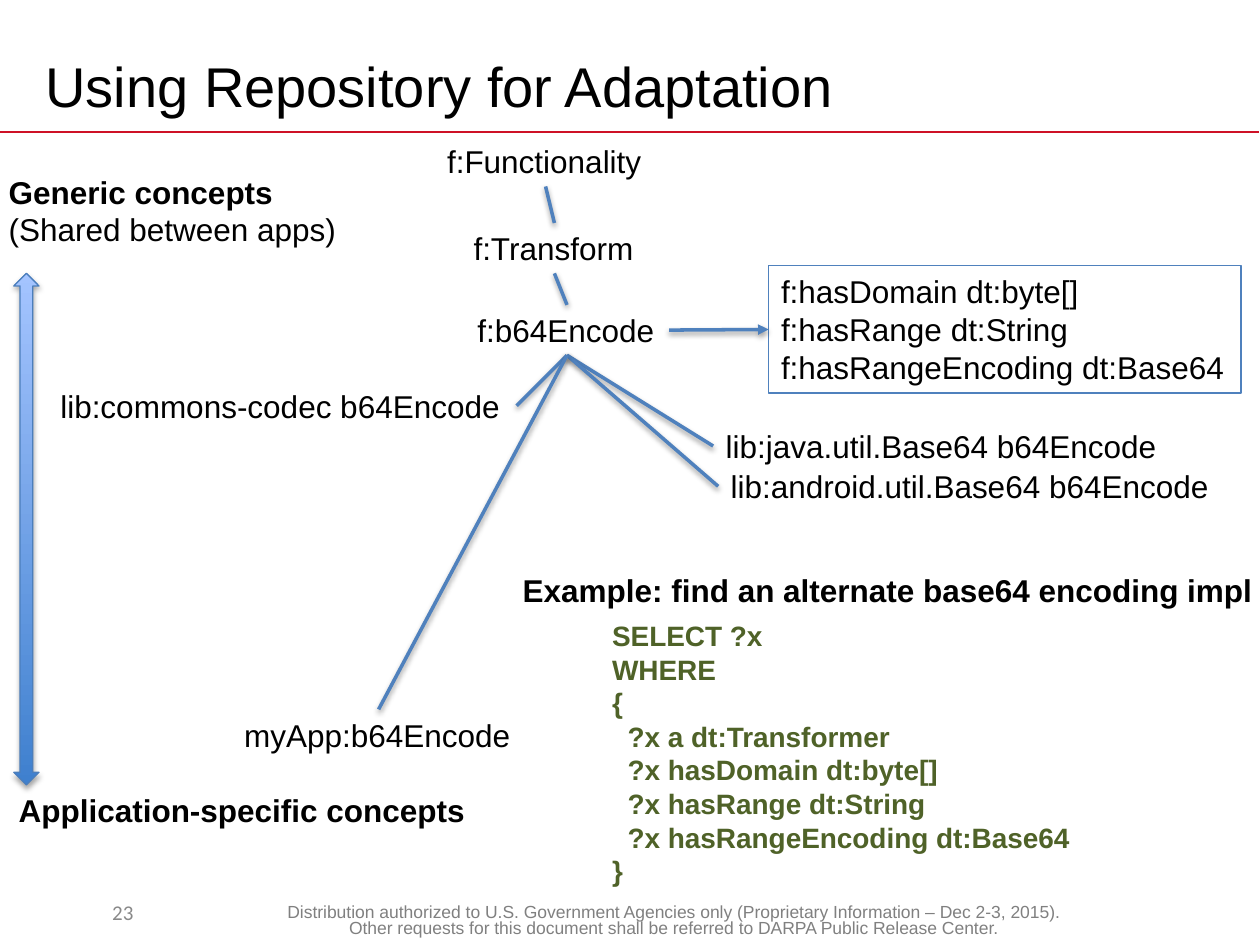
from lxml.etree import SubElement
from pptx import Presentation
from pptx.dml.color import RGBColor as RGB
from pptx.enum.shapes import MSO_CONNECTOR as Link, MSO_SHAPE as Form
from pptx.enum.text import MSO_ANCHOR as Anchor, MSO_AUTO_SIZE as Fit, PP_ALIGN as Align
from pptx.oxml.ns import qn
from pptx.util import Pt

SCALE = 9144  # EMU per px, 100 px to the inch
BLACK = RGB(0x00, 0x00, 0x00)
RED = RGB(0xCE, 0x11, 0x26)
BLUE = RGB(0x4F, 0x81, 0xBD)
EDGE = RGB(0x4B, 0x7E, 0xBC)
DEEP = RGB(0x3F, 0x80, 0xCE)
PALE = RGB(0xA4, 0xC4, 0xFF)
GREEN = RGB(0x4F, 0x62, 0x28)
GRAY = RGB(0x80, 0x80, 0x80)
SILVER = RGB(0x89, 0x89, 0x89)
TOP, LEFT, BOTTOM, RIGHT = range(4)


def px(*nums):
    return [n * SCALE for n in nums]


def adjust(target, vals):
    for key, val in vals.items():
        setattr(target, key, val)


class Board:
    """Style and current slide."""

    font = {"name": "Arial", "size": Pt(18), "bold": False}
    label = {"word_wrap": False, "auto_size": Fit.SHAPE_TO_FIT_TEXT}
    block = {"word_wrap": True, "auto_size": Fit.NONE}

    def __init__(self, deck):
        self.slide = deck.slides.add_slide(deck.slide_layouts[5])
        self.shapes = self.slide.shapes

    def letter(self, shape, text, frame, para, font, color):
        body = shape.text_frame
        body.text = text
        adjust(body, frame)
        for par in body.paragraphs:
            adjust(par, para)
            adjust(par.font, self.font | font)
            par.font.color.rgb = color
        return shape

    def title(self, text, *at):
        head = self.shapes.title
        adjust(head, dict(zip(("left", "top", "width", "height"), px(*at))))
        frame = {"vertical_anchor": Anchor.MIDDLE}
        self.letter(head, text, frame, {"alignment": Align.LEFT}, {"size": Pt(32)}, BLACK)

    def text(self, text, *at, frame=label, para={}, color=BLACK, **font):
        box = self.shapes.add_textbox(*px(*at))
        return self.letter(box, text, frame, para, font, color)

    def stroke(self, line, color, width):
        line.color.rgb = color
        line.width = Pt(width)

    def shade(self, shape, dist, alpha):
        effects = SubElement(shape._element.spPr, qn("a:effectLst"))
        if alpha:
            cast = SubElement(effects, qn("a:outerShdw"), blurRad="40000",
                              dist=str(dist), dir="5400000", rotWithShape="0")
            tone = SubElement(cast, qn("a:srgbClr"), val=str(BLACK))
            SubElement(tone, qn("a:alpha"), val=str(alpha))

    def rule(self, *ends):
        line = self.shapes.add_connector(Link.STRAIGHT, *px(*ends))
        self.stroke(line.line, RED, 1)
        self.shade(line, 0, 0)

    def join(self, start, side, end, port, arrow=False):
        line = self.shapes.add_connector(Link.STRAIGHT, 0, 0, 0, 0)
        line.begin_connect(start, side)
        line.end_connect(end, port)
        self.stroke(line.line, BLUE, 2)
        if arrow:
            edge = line._element.spPr.find(qn("a:ln"))
            SubElement(edge, qn("a:tailEnd"), type="triangle")
        self.shade(line, 20000, 38000)

    def scale(self, *at):
        bar = self.shapes.add_shape(Form.UP_DOWN_ARROW, *px(*at))
        bar.fill.gradient()
        bar.fill.gradient_angle = 90
        for stop, color in zip(bar.fill.gradient_stops, (DEEP, PALE)):
            stop.color.rgb = color
        self.stroke(bar.line, EDGE, 0.75)
        self.shade(bar, 23000, 35000)


def main():
    deck = Presentation()
    deck.slide_width, deck.slide_height = px(1000, 750)
    board = Board(deck)

    # Header and footer
    board.rule(0, 105, 999, 105)
    board.title("Using Repository for Adaptation", 26, 30, 900, 75)
    board.text("Distribution authorized to U.S. Government Agencies only "
               "(Proprietary Information – Dec 2-3, 2015). Other requests for this "
               "document shall be referred to DARPA Public Release Center.",
               211, 713, 647, 31, frame=Board.block, color=GRAY, size=Pt(10),
               para={"alignment": Align.CENTER, "line_spacing": 0.8})
    board.text("23", 28, 704, 139, 40, color=SILVER, name="Calibri", size=Pt(12),
               frame=Board.block | {"vertical_anchor": Anchor.MIDDLE},
               para={"alignment": Align.CENTER})

    # Scale from generic to specific
    generic = board.text("Generic concepts\n(Shared between apps)",
                         -3, 132, 282, 71, bold=True)
    generic.text_frame.paragraphs[1].font.bold = False
    board.scale(11, 217, 20, 406)
    board.text("Application-specific concepts", 5, 623, 378, 40, bold=True)

    # Concept tree
    root = board.text("f:Functionality", 345, 108, 176, 40)
    trans = board.text("f:Transform", 366, 177, 148, 40)
    encode = board.text("f:b64Encode", 369, 242, 162, 40)
    codec = board.text("lib:commons-codec b64Encode", 38, 302, 372, 40)
    java = board.text("lib:java.util.Base64 b64Encode", 566, 334, 365, 40)
    droid = board.text("lib:android.util.Base64 b64Encode", 570, 366, 403, 40)
    app = board.text("myApp:b64Encode", 184, 563, 233, 40)
    facts = board.text("f:hasDomain dt:byte[]\nf:hasRange dt:String\n"
                       "f:hasRangeEncoding dt:Base64", 610, 211, 375, 101)
    board.stroke(facts.line, BLUE, 0.75)

    # Links
    board.join(root, BOTTOM, trans, TOP)
    board.join(trans, BOTTOM, encode, TOP)
    for leaf, port in ((codec, RIGHT), (java, LEFT), (droid, LEFT), (app, TOP)):
        board.join(encode, BOTTOM, leaf, port)
    board.join(encode, RIGHT, facts, LEFT, arrow=True)

    # Example query
    board.text("Example: find an alternate base64 encoding impl",
               405, 448, 605, 40, bold=True)
    board.text("SELECT ?x\nWHERE\n{\n  ?x a dt:Transformer\n  ?x hasDomain dt:byte[]\n"
               "  ?x hasRange dt:String\n  ?x hasRangeEncoding dt:Base64\n}",
               476, 486, 421, 232, frame=Board.label | {"word_wrap": True},
               color=GREEN, size=Pt(16), bold=True)

    deck.save("out.pptx")


if __name__ == "__main__":
    main()
